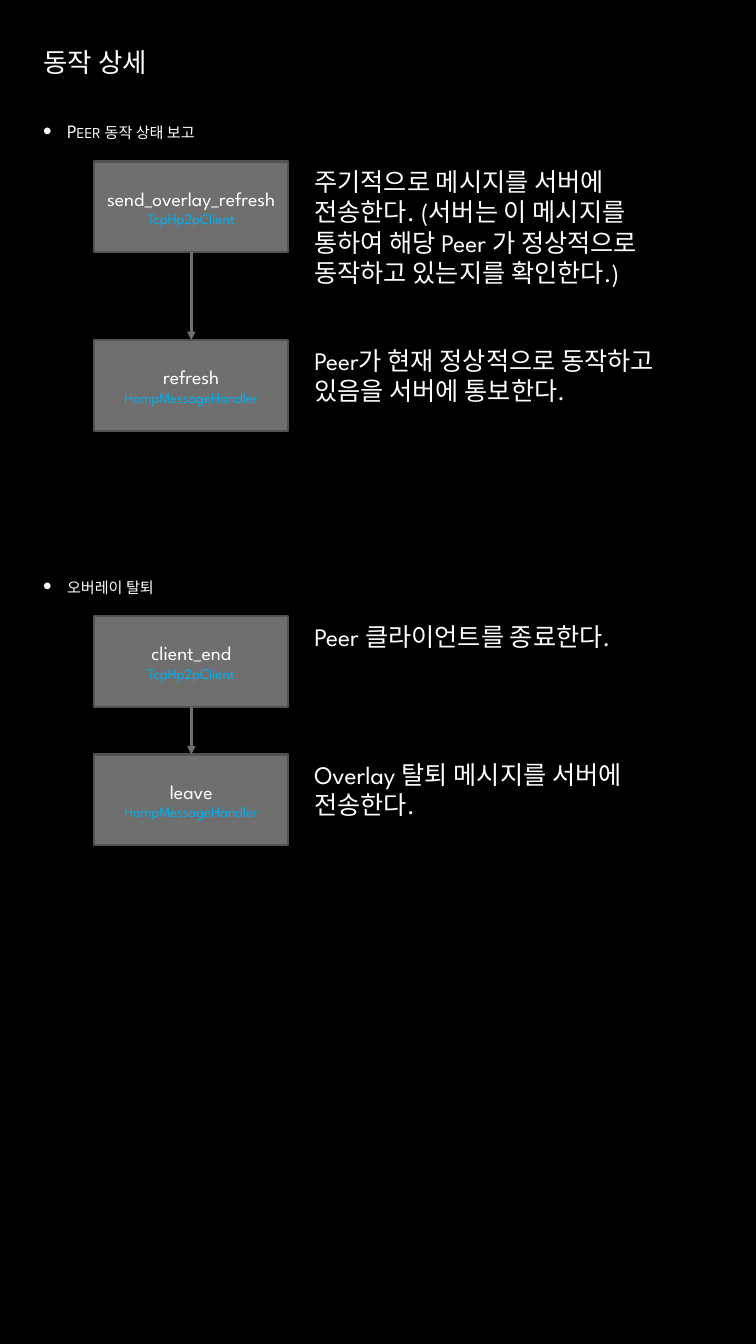
from dataclasses import dataclass

from lxml import etree
from pptx import Presentation
from pptx.dml.color import RGBColor
from pptx.enum.shapes import MSO_CONNECTOR, MSO_SHAPE
from pptx.enum.text import MSO_ANCHOR, PP_ALIGN
from pptx.oxml.ns import qn
from pptx.util import Cm, Pt

RECT, STRAIGHT = MSO_SHAPE.RECTANGLE, MSO_CONNECTOR.STRAIGHT
TOP, MIDDLE = MSO_ANCHOR.TOP, MSO_ANCHOR.MIDDLE
LEFT, CENTER = PP_ALIGN.LEFT, PP_ALIGN.CENTER


@dataclass(frozen=True)
class Theme:
    """Colours, fonts and type sizes of the slide."""
    back: str = "000000"
    text: str = "FFFFFF"
    owner: str = "00B0F0"
    box: str = "6F6F6F"
    edge: str = "525252"
    latin: str = "League Spartan"
    korean: str = "Noto Sans CJK KR"
    title: float = 18.9
    heading: float = 13.5
    name: float = 14
    small: float = 10.5
    body: float = 18


T = Theme()
BOX_W, BOX_H = Cm(4.9), Cm(2.29)
BOX_INDENT, NOTE_INDENT = Cm(1.53), Cm(6.83)
HEADING_H = Cm(1.17)

SECTIONS = [
    (Cm(2.9), Cm(4.5), "Peer 동작 상태 보고", [
        ("send_overlay_refresh", "TcpHp2pClient", Cm(9.7),
         "주기적으로 메시지를 서버에 전송한다. (서버는 이 메시지를 통하여 해당 Peer 가 "
         "정상적으로 동작하고 있는지를 확인한다.)"),
        ("refresh", "HompMessageHandler", Cm(10.03),
         "Peer가 현재 정상적으로 동작하고 있음을 서버에 통보한다."),
    ]),
    (Cm(14.35), Cm(3.49), "오버레이 탈퇴", [
        ("client_end", "TcpHp2pClient", Cm(9.7), "Peer 클라이언트를 종료한다."),
        ("leave", "HompMessageHandler", Cm(10.03),
         "Overlay 탈퇴 메시지를 서버에 전송한다."),
    ]),
]


def rgb(value):
    """Turn a hex string into a colour."""
    return RGBColor.from_string(value)


def add_text(p, text, size, color=T.text, font=T.latin, align=LEFT, small_caps=False):
    """Add a formatted run to a paragraph."""
    p.alignment = align
    r = p.add_run()
    r.text = text
    r.font.size, r.font.name = Pt(size), font
    r.font.color.rgb = rgb(color)
    rpr = r.font._element
    etree.SubElement(rpr, qn("a:ea")).set("typeface", T.korean)
    if small_caps:
        rpr.set("cap", "small")


def add_frame(s, x, y, w, h):
    """Add a wrapping text box and return its text frame."""
    tf = s.shapes.add_textbox(x, y, w, h).text_frame
    tf.word_wrap, tf.vertical_anchor = True, TOP
    return tf


def add_title(s, x, y, w, h, text):
    """Place and fill the title placeholder."""
    sp = s.shapes.title
    sp.left, sp.top, sp.width, sp.height = x, y, w, h
    sp.text_frame.vertical_anchor = MIDDLE
    add_text(sp.text_frame.paragraphs[0], text, T.title, font=T.korean)


def add_heading(s, x, y, w, h, text):
    """Add a bulleted section heading."""
    p = add_frame(s, x, y, w, h).paragraphs[0]
    p.space_before, p.space_after = Pt(2.7), Pt(4.5)
    add_text(p, text, T.heading, small_caps=True)
    ppr = p._p.get_or_add_pPr()
    ppr.set("marL", str(Cm(0.6)))
    ppr.set("indent", str(-Cm(0.6)))
    color = etree.SubElement(ppr, qn("a:buClr"))
    etree.SubElement(color, qn("a:srgbClr")).set("val", T.text)
    etree.SubElement(ppr, qn("a:buSzPct")).set("val", "130000")
    etree.SubElement(ppr, qn("a:buFont")).set("typeface", "Arial")
    etree.SubElement(ppr, qn("a:buChar")).set("char", "•")


def add_box(s, x, y, w, h, name, owner):
    """Add a function box with its owning class below the name."""
    sp = s.shapes.add_shape(RECT, x, y, w, h)
    sp.shadow.inherit = False
    sp.fill.solid()
    sp.fill.fore_color.rgb = rgb(T.box)
    sp.line.color.rgb, sp.line.width = rgb(T.edge), Pt(1.5)
    tf = sp.text_frame
    tf.word_wrap, tf.vertical_anchor = True, MIDDLE
    add_text(tf.paragraphs[0], name, T.name, align=CENTER)
    add_text(tf.add_paragraph(), owner, T.small, color=T.owner, align=CENTER)
    return sp


def add_arrow(s, upper, lower):
    """Join two boxes with a downward arrow."""
    line = s.shapes.add_connector(STRAIGHT, 0, 0, 0, 0)
    line.begin_connect(upper, 2)
    line.end_connect(lower, 0)
    line.line.color.rgb, line.line.width = rgb(T.box), Pt(2)
    etree.SubElement(line.line._get_or_add_ln(), qn("a:tailEnd")).set("type", "triangle")
    etree.SubElement(line._element.spPr, qn("a:effectLst"))


def add_section(s, x, y, w, pitch, heading, steps):
    """Add a heading and its chain of boxes with notes."""
    add_heading(s, x, y, w, HEADING_H, heading)
    boxes = []
    for i, (name, owner, note_w, note) in enumerate(steps):
        top = y + HEADING_H + i * pitch
        boxes.append(add_box(s, x + BOX_INDENT, top, BOX_W, BOX_H, name, owner))
        tf = add_frame(s, x + NOTE_INDENT, top, note_w, BOX_H)
        add_text(tf.paragraphs[0], note, T.body)
    for upper, lower in zip(boxes, boxes[1:]):
        add_arrow(s, upper, lower)


def main():
    """Build and save the slide."""
    prs = Presentation()
    prs.slide_width, prs.slide_height = Cm(19.05), Cm(33.86)
    s = prs.slides.add_slide(prs.slide_layouts[5])
    s.background.fill.solid()
    s.background.fill.fore_color.rgb = rgb(T.back)
    x, w = Cm(0.84), Cm(17.42)
    add_title(s, x, Cm(1.02), w, Cm(1.07), "동작 상세")
    for y, pitch, heading, steps in SECTIONS:
        add_section(s, x, y, w, pitch, heading, steps)
    prs.save("out.pptx")


if __name__ == "__main__":
    main()
